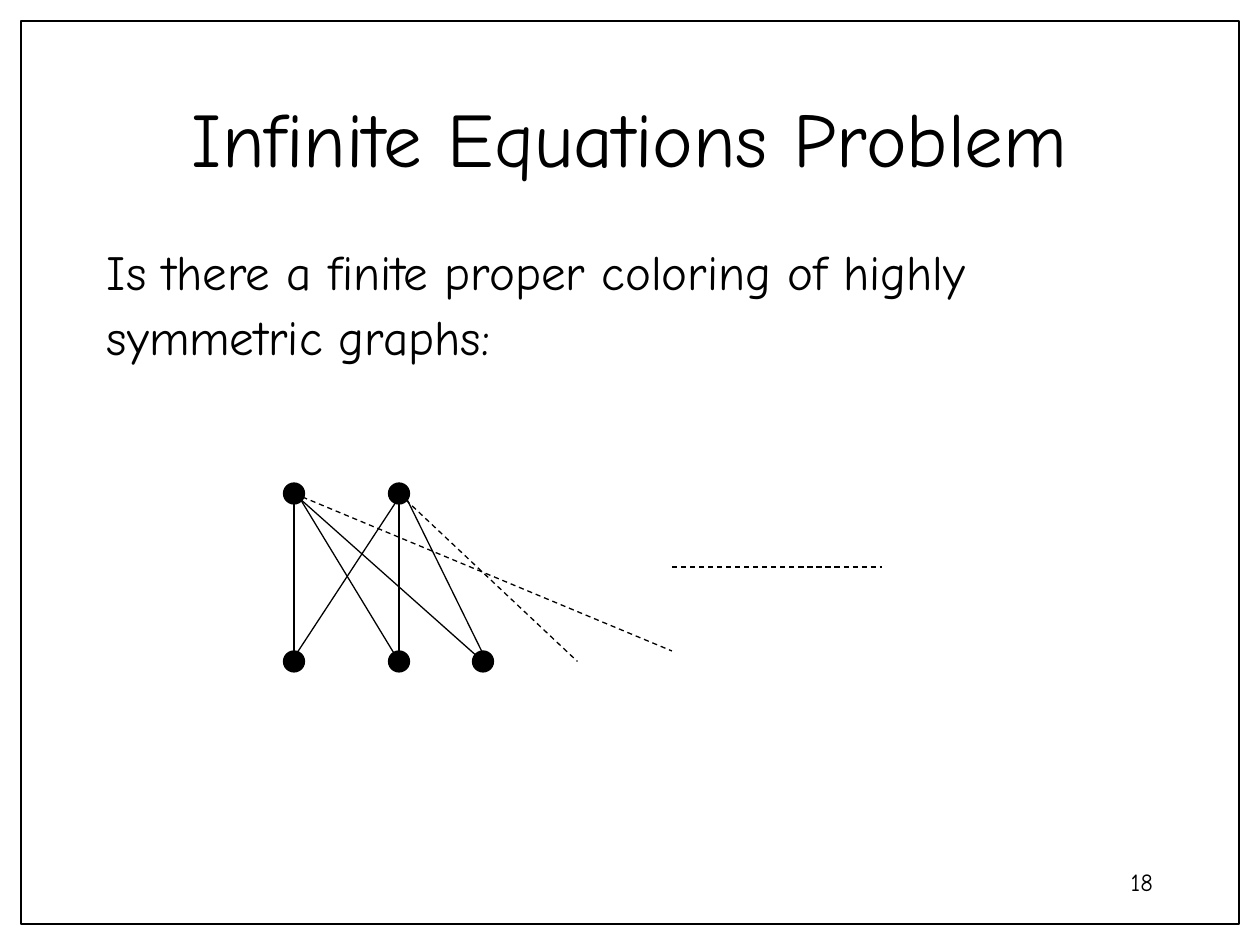
from pptx import Presentation
from pptx.dml.color import RGBColor
from pptx.enum.dml import MSO_LINE
from pptx.enum.shapes import MSO_CONNECTOR, MSO_SHAPE
from pptx.enum.text import MSO_ANCHOR as ANCHOR, PP_ALIGN as ALIGN
from pptx.oxml.ns import qn
from pptx.util import Pt
from lxml import etree

FONT = "Comic Neue"
BLACK = "000000"


def color(hex_string):
    return RGBColor.from_string(hex_string)


def add_text(page, lines, left, top, width, height, size, align=ALIGN.LEFT,
             anchor=ANCHOR.TOP, spacing=1.0, before=0, hanging=0):
    box = page.shapes.add_textbox(Pt(left), Pt(top), Pt(width), Pt(height))
    frame = box.text_frame
    frame.word_wrap = True
    frame.vertical_anchor = anchor
    for index, line in enumerate(lines):
        para = frame.paragraphs[0] if index == 0 else frame.add_paragraph()
        para.alignment = align
        para.line_spacing = spacing
        para.space_before = Pt(before)
        if hanging:
            properties = para._p.get_or_add_pPr()
            properties.set("marL", str(Pt(hanging)))
            properties.set("indent", str(-Pt(hanging)))
        span = para.add_run()
        span.text = line
        span.font.name = FONT
        span.font.size = Pt(size)
        span.font.color.rgb = color(BLACK)


deck = Presentation()
deck.slide_width, deck.slide_height = Pt(720), Pt(540)
page = deck.slides.add_slide(deck.slide_layouts[6])

# Frame around the page
border = page.shapes.add_shape(MSO_SHAPE.RECTANGLE, Pt(12), Pt(12), Pt(696), Pt(516))
border.shadow.inherit = False
border.fill.background()
border.line.color.rgb = color(BLACK)
border.line.width = Pt(0.75)

# Title, question and page number
add_text(page, ["Infinite Equations Problem"], 54, 36, 612, 84, size=44,
         align=ALIGN.CENTER, anchor=ANCHOR.MIDDLE)
add_text(page, ["Is there a finite proper coloring of highly", "symmetric graphs:"],
         54, 138, 612, 348, size=28, spacing=0.9, before=7, hanging=27)
add_text(page, ["18"], 516, 492, 150, 36, size=14, align=ALIGN.RIGHT)

# Graph vertices, given by their centres
columns = [168, 228, 276]
upper, lower = 282, 378
radius = 6
vertices = [(x, upper) for x in columns[:2]] + [(x, lower) for x in columns]
for x, y in vertices:
    vertex = page.shapes.add_shape(MSO_SHAPE.OVAL, Pt(x - radius), Pt(y - radius),
                                   Pt(2 * radius), Pt(2 * radius))
    vertex.shadow.inherit = False
    vertex.fill.solid()
    vertex.fill.fore_color.rgb = color(BLACK)
    vertex.line.color.rgb = color(BLACK)
    vertex.line.width = Pt(0.75)

# Edges: solid between vertices, dashed where the graph goes on
first, second, third = columns
solid_edges = [
    (first, upper + radius, first, lower),
    (172.25, 286.25, second, lower),
    (first, upper, third, lower),
    (232.25, 277.75, 163.75, 382.25),
    (second, upper, second, lower - radius),
    (second, upper - radius, 280.25, 382.25),
]
dashed_edges = [
    (second, upper, 330, lower),
    (384, 324, 504, 324),
    (first, upper, 384, lower - radius),
]
for edges, dash in ((solid_edges, None), (dashed_edges, MSO_LINE.DASH)):
    for edge in edges:
        line = page.shapes.add_connector(MSO_CONNECTOR.STRAIGHT, *map(Pt, edge))
        line.line.color.rgb = color(BLACK)
        line.line.width = Pt(0.75)
        if dash:
            line.line.dash_style = dash
        etree.SubElement(line._element.spPr, qn("a:effectLst"))

deck.save("out.pptx")
